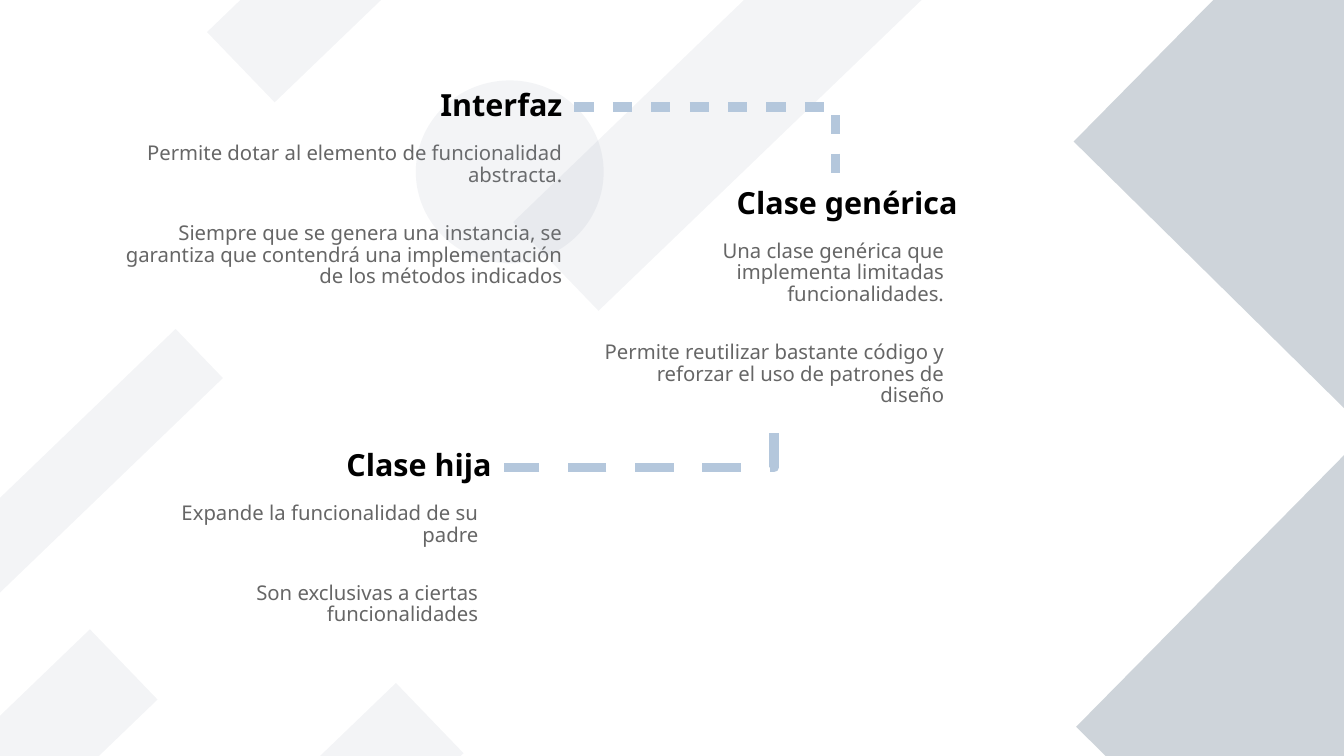
"""Build the slide that relates an interface, a generic class and a child class."""
from lxml import etree
from pptx import Presentation
from pptx.dml.color import RGBColor
from pptx.enum import dml, shapes, text
from pptx.oxml.ns import qn
from pptx.util import Inches, Pt

FONT = "Noto Sans"
BLACK = RGBColor(0x00, 0x00, 0x00)
GRAY = RGBColor(0x66, 0x66, 0x66)
SLATE = RGBColor(0x8D, 0x99, 0xAE)
SILVER = RGBColor(0xCE, 0xD4, 0xDA)
BLUE = RGBColor(0xB4, 0xC7, 0xDC)

DIAMONDS = [(9.46, -0.44), (9.48, 4.36)]
BANDS = [
    (1.09, 6.47, 2.83, 0.8),
    (-1.42, 6.03, 2.83, 0.8),
    (4.03, 0.37, 3.78, 1.01),
    (1.58, -0.83, 2.83, 0.8),
    (-0.8, 3.6, 2.83, 0.56),
]


def add_fill_shape(s, kind, box, color, rotation=0, alpha=None):
    """Add a borderless shape, optionally rotated and see-through."""
    sp = s.shapes.add_shape(kind, *map(Inches, box))
    sp.rotation = rotation
    sp.shadow.inherit = False
    sp.line.fill.background()
    sp.fill.solid()
    sp.fill.fore_color.rgb = color
    if alpha is not None:
        clr = sp.fill._xPr.find(".//" + qn("a:srgbClr"))
        etree.SubElement(clr, qn("a:alpha"), val=str(alpha * 1000))


def add_text(s, box, paragraphs, size, color, bold=False):
    """Add a wrapped, right-aligned text box and return its paragraphs."""
    tf = s.shapes.add_textbox(*map(Inches, box)).text_frame
    tf.word_wrap = True
    for i, words in enumerate(paragraphs):
        p = tf.add_paragraph() if i else tf.paragraphs[0]
        p.alignment = text.PP_ALIGN.RIGHT
        r = p.add_run()
        r.text = words
        r.font.name, r.font.size, r.font.bold = FONT, Pt(size), bold
        r.font.color.rgb = color
    return tf.paragraphs


def add_heading(s, left, top, words):
    """Add the bold name of a class."""
    add_text(s, (left, top, 2.2, 0.44), [words], 18, BLACK, bold=True)


def add_body(s, box, *paragraphs):
    """Add the gray description of a class."""
    for p in add_text(s, box, paragraphs, 12, GRAY):
        p.space_before, p.space_after = Pt(11.9), Pt(9.9)
        p.line_spacing = 0.88


def add_elbow(s, left, top, width, height, rotation=0):
    """Add a thick connector with a single bend and return it."""
    cx = s.shapes.add_connector(
        shapes.MSO_CONNECTOR.ELBOW,
        *map(Inches, (left, top, left + width, top + height)))
    cx.line.color.rgb = BLUE
    cx.line.width = Pt(5.67)
    spPr = cx._element.spPr
    spPr.find(qn("a:prstGeom")).set("prst", "bentConnector2")
    spPr.find(qn("a:xfrm")).set("rot", str(rotation * 60000))
    etree.SubElement(spPr, qn("a:effectLst"))
    return cx


def set_even_dash(cx):
    """Make dashes and gaps both twice the line width."""
    ln = cx.line._get_or_add_ln()
    dash = etree.SubElement(ln, qn("a:custDash"))
    etree.SubElement(dash, qn("a:ds"), d="200000", sp="200000")


def main():
    """Build and save the slide."""
    prs = Presentation()
    prs.slide_width, prs.slide_height = Inches(11.02), Inches(6.2)
    s = prs.slides.add_slide(prs.slide_layouts[6])
    rect, oval = shapes.MSO_SHAPE.RECTANGLE, shapes.MSO_SHAPE.OVAL

    for left, top in DIAMONDS:
        add_fill_shape(s, rect, (left, top, 3.17, 3.17), SILVER, 314.6)
    for box in BANDS:
        add_fill_shape(s, rect, box, SLATE, 316.1, alpha=10)

    add_body(s, (0.91, 1.13, 3.8, 1.4),
             "Permite dotar al elemento de funcionalidad abstracta.",
             "Siempre que se genera una instancia, se garantiza que contendrá "
             "una implementación de los métodos indicados")
    add_fill_shape(s, oval, (3.41, 0.66, 1.54, 1.5), SLATE, alpha=10)
    add_heading(s, 2.51, 0.66, "Interfaz")

    add_body(s, (4.84, 1.93, 3, 1.62),
             "Una clase genérica que implementa limitadas funcionalidades.",
             "Permite reutilizar bastante código y reforzar el uso de "
             "patrones de diseño")
    add_heading(s, 5.75, 1.46, "Clase genérica")
    set_even_dash(add_elbow(s, 4.71, 0.88, 2.14, 0.57))

    add_body(s, (1.02, 4.08, 3, 1.17),
             "Expande la funcionalidad de su padre",
             "Son exclusivas a ciertas funcionalidades")
    add_heading(s, 1.93, 3.61, "Clase hija")
    cx = add_elbow(s, 5.1, 2.59, 0.28, 2.21, rotation=90)
    cx.line.dash_style = dml.MSO_LINE.DASH

    prs.save("out.pptx")


if __name__ == "__main__":
    main()
